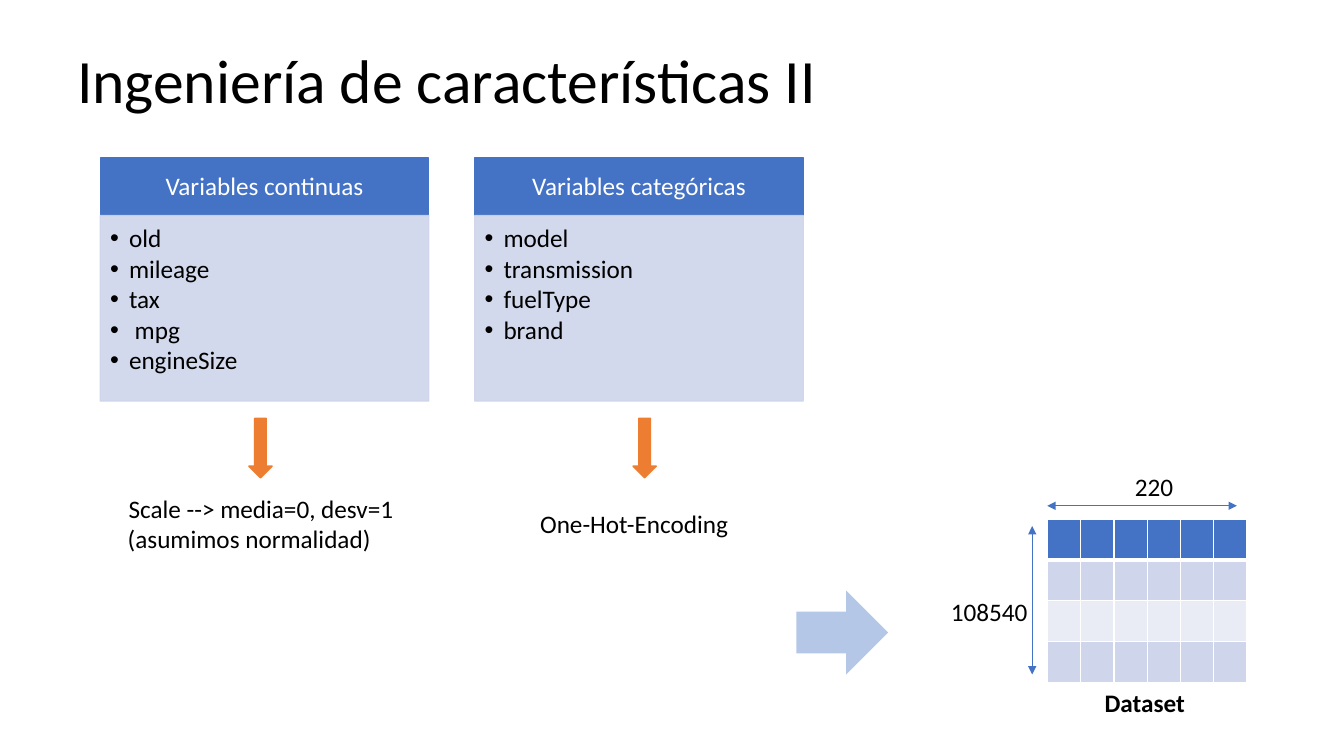
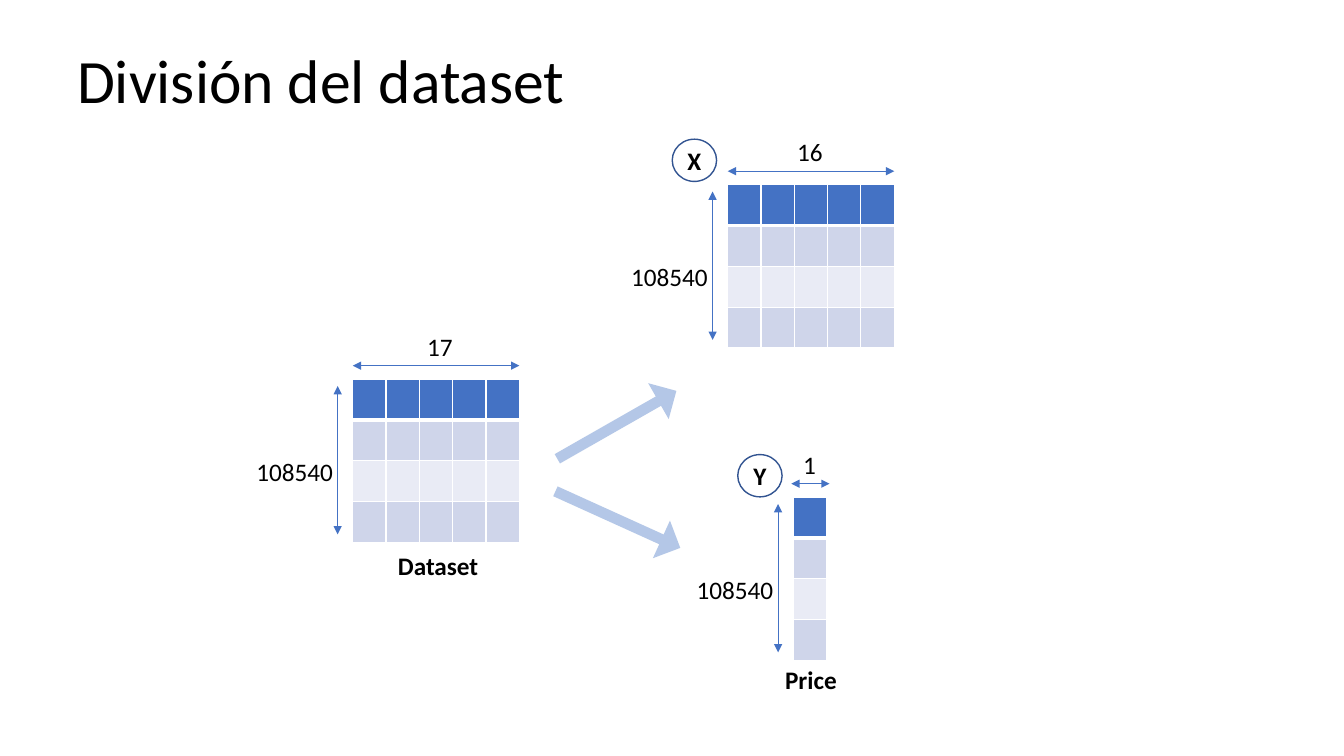
from lxml import etree
from pptx import Presentation
from pptx.dml.color import RGBColor
from pptx.enum.shapes import MSO_CONNECTOR, MSO_SHAPE
from pptx.enum.text import MSO_ANCHOR, MSO_AUTO_SIZE, PP_ALIGN
from pptx.oxml.ns import qn
from pptx.util import Pt

RECT, OVAL = MSO_SHAPE.RECTANGLE, MSO_SHAPE.OVAL
DOWN, RIGHT = MSO_SHAPE.DOWN_ARROW, MSO_SHAPE.RIGHT_ARROW
LINE = MSO_CONNECTOR.STRAIGHT
LEFT, MID = PP_ALIGN.LEFT, PP_ALIGN.CENTER
TOP, CENTER = MSO_ANCHOR.TOP, MSO_ANCHOR.MIDDLE
GROW = MSO_AUTO_SIZE.SHAPE_TO_FIT_TEXT

COLORS = {
    "ink": "000000", "white": "FFFFFF", "blue": "4472C4", "navy": "325491",
    "band": "CFD5EA", "pale": "E9EBF5", "sky": "B4C7E7", "orange": "ED7D31",
}
FONT = "Calibri"
CELL_W, CELL_H = 23.8, 29.2
ROWS = ("blue", "band", "pale", "band")
ROW_COUNT = "108540"


def color(name):
    return RGBColor.from_string(COLORS[name])


def apply(target, values):
    for key, value in values.items():
        setattr(target, key, value)


def write(shape, lines, size=18, ink="ink", bold=False, align=LEFT,
          frame=None, para=None):
    """Fill a shape with paragraphs; frame and para hold format values."""
    body = shape.text_frame
    apply(body, {"word_wrap": True, **(frame or {})})
    for i, line in enumerate(lines):
        item = body.paragraphs[0] if i == 0 else body.add_paragraph()
        apply(item, {"alignment": align, **(para or {})})
        run = item.add_run()
        run.text = line
        apply(run.font, {"name": FONT, "size": Pt(size), "bold": bold})
        run.font.color.rgb = color(ink)
    return body


def label(slide, text, x, y, w, h=29, **style):
    box = slide.shapes.add_textbox(Pt(x), Pt(y), Pt(w), Pt(h))
    return write(box, text.split("\n"), frame={"auto_size": GROW}, **style)


def title(slide, text):
    box = slide.shapes.add_textbox(Pt(48), Pt(7.2), Pt(828), Pt(104.4))
    write(box, [text], size=44, frame={"vertical_anchor": CENTER},
          para={"line_spacing": 0.9})


def shape(slide, kind, x, y, w, h, fill=None, edge=None):
    item = slide.shapes.add_shape(kind, Pt(x), Pt(y), Pt(w), Pt(h))
    item.shadow.inherit = False
    for part, name in ((item.fill, fill), (item.line.fill, edge)):
        if name:
            part.solid()
            part.fore_color.rgb = color(name)
        else:
            part.background()
    if edge:
        item.line.width = Pt(1)
    return item


def fade(item, percent):
    for tint in item._element.spPr.iter(qn("a:srgbClr")):
        etree.SubElement(tint, qn("a:alpha"), val=str(percent * 1000))


def bullet(item):
    props = item._p.get_or_add_pPr()
    apply_xml = {"marL": str(Pt(13.5)), "indent": str(-Pt(13.5))}
    for key, value in apply_xml.items():
        props.set(key, value)
    etree.SubElement(props, qn("a:buFont"), typeface="Arial")
    etree.SubElement(props, qn("a:buChar"), char="•")


def card(slide, x, head, names):
    top = shape(slide, RECT, x, 113, 234.7, 41, "blue", "blue")
    write(top, [head], ink="white", align=MID,
          frame={"vertical_anchor": CENTER}, para={"line_spacing": 0.9})
    base = shape(slide, RECT, x, 154, 234.7, 132.5, "band", "band")
    fade(base, 90)
    body = write(base, names,
                 frame={"vertical_anchor": TOP, "margin_left": Pt(7.2),
                        "margin_top": Pt(7.2), "margin_right": Pt(10),
                        "margin_bottom": Pt(11.5)},
                 para={"line_spacing": 0.9, "space_after": Pt(2.4)})
    for item in body.paragraphs:
        bullet(item)


def span(slide, x1, y1, x2, y2):
    """Thin line with an arrowhead at both ends."""
    item = slide.shapes.add_connector(LINE, Pt(x1), Pt(y1), Pt(x2), Pt(y2))
    item.line.color.rgb = color("blue")
    item.line.width = Pt(0.5)
    for end in ("a:headEnd", "a:tailEnd"):
        etree.SubElement(item.line._get_or_add_ln(), qn(end), type="triangle")
    etree.SubElement(item._element.spPr, qn("a:effectLst"))


def border(cell, row):
    props = cell._tc.get_or_add_tcPr()
    for side in "LRTB":
        thick = (row, side) in ((0, "B"), (1, "T"))
        edge = etree.SubElement(props, qn("a:ln" + side),
                                w=str(Pt(3 if thick else 1)))
        fill = etree.SubElement(edge, qn("a:solidFill"))
        etree.SubElement(fill, qn("a:srgbClr"), val=COLORS["white"])


def matrix(slide, x, y, cols, count, shift, start=0, width=None):
    """Table with its row and column counts; shift places the column count."""
    wide, high = cols * CELL_W, len(ROWS) * CELL_H
    grid = slide.shapes.add_table(len(ROWS), cols, Pt(x), Pt(y),
                                  Pt(wide), Pt(high)).table
    for col in grid.columns:
        col.width = Pt(CELL_W)
    for r, name in enumerate(ROWS):
        grid.rows[r].height = Pt(CELL_H)
        for c in range(cols):
            cell = grid.cell(r, c)
            border(cell, r)
            cell.fill.solid()
            cell.fill.fore_color.rgb = color(name)
    span(slide, x - 10.8, y + 5, x - 10.8, y + 111)
    span(slide, x + start, y - 9.5, x + start + (width or wide), y - 9.5)
    label(slide, ROW_COUNT, x - 76, y + 51.5, 74.2)
    label(slide, count, x + shift, y - 37.8, 50)


def badge(slide, text, x, y):
    ring = shape(slide, OVAL, x, y, 31.7, 30.2, edge="navy")
    write(ring, [text], bold=True, align=MID,
          frame={"vertical_anchor": CENTER, "margin_left": 0,
                 "margin_right": 0, "margin_top": 0, "margin_bottom": 0})


def features(slide):
    title(slide, "Ingeniería de características II")
    card(slide, 71.6, "Variables continuas",
         ["old", "mileage", "tax", " mpg", "engineSize"])
    card(slide, 339.1, "Variables categóricas",
         ["model", "transmission", "fuelType", "brand"])
    for x in (177.8, 452.2):
        shape(slide, DOWN, x, 298.8, 16.6, 42.5, "orange", "orange")
    label(slide, "One-Hot-Encoding", 378.7, 359.3, 164.2)
    scale = label(slide, "Scale --> media=0, desv=1\n(asumimos normalidad)",
                  84.2, 348.5, 204.5, 51)
    scale.paragraphs[0].alignment = MID
    matrix(slide, 748.1, 370.8, 6, "220", 55.4, width=135.4)
    shape(slide, RIGHT, 568.8, 421.9, 65.5, 59.8, "sky")
    label(slide, "Dataset", 781.9, 487.4, 75, bold=True)


def split(slide):
    title(slide, "División del dataset")
    for x, y, turn in ((392.4, 356.4, 24.4), (391.7, 288.7, 330.3)):
        arrow = shape(slide, RIGHT, x, y, 97.9, 29.5, "sky")
        arrow.adjustments[0] = 0.26
        arrow.rotation = turn
    matrix(slide, 519.8, 131.8, 5, "16", 42.5)
    matrix(slide, 566.6, 355, 1, "1", 0, start=-1.4, width=27.4)
    matrix(slide, 252, 270.7, 5, "17", 46)
    badge(slide, "X", 480.2, 99.4)
    badge(slide, "Y", 527, 324.7)
    label(slide, "Dataset", 277.2, 389.5, 75, bold=True)
    label(slide, "Price", 553.7, 470.9, 75, bold=True)


def main():
    deck = Presentation()
    apply(deck, {"slide_width": Pt(960), "slide_height": Pt(540)})
    for build in (features, split):
        build(deck.slides.add_slide(deck.slide_layouts[6]))
    deck.save("out.pptx")


if __name__ == "__main__":
    main()
